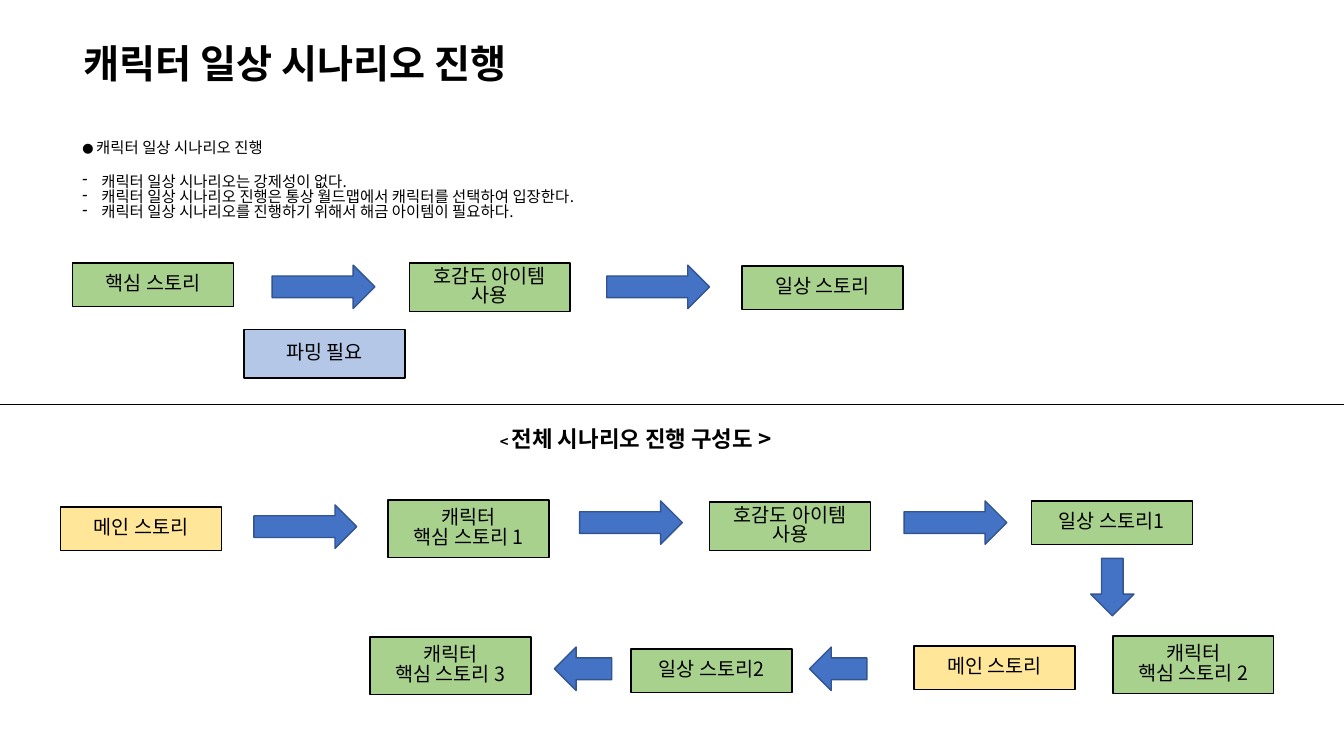
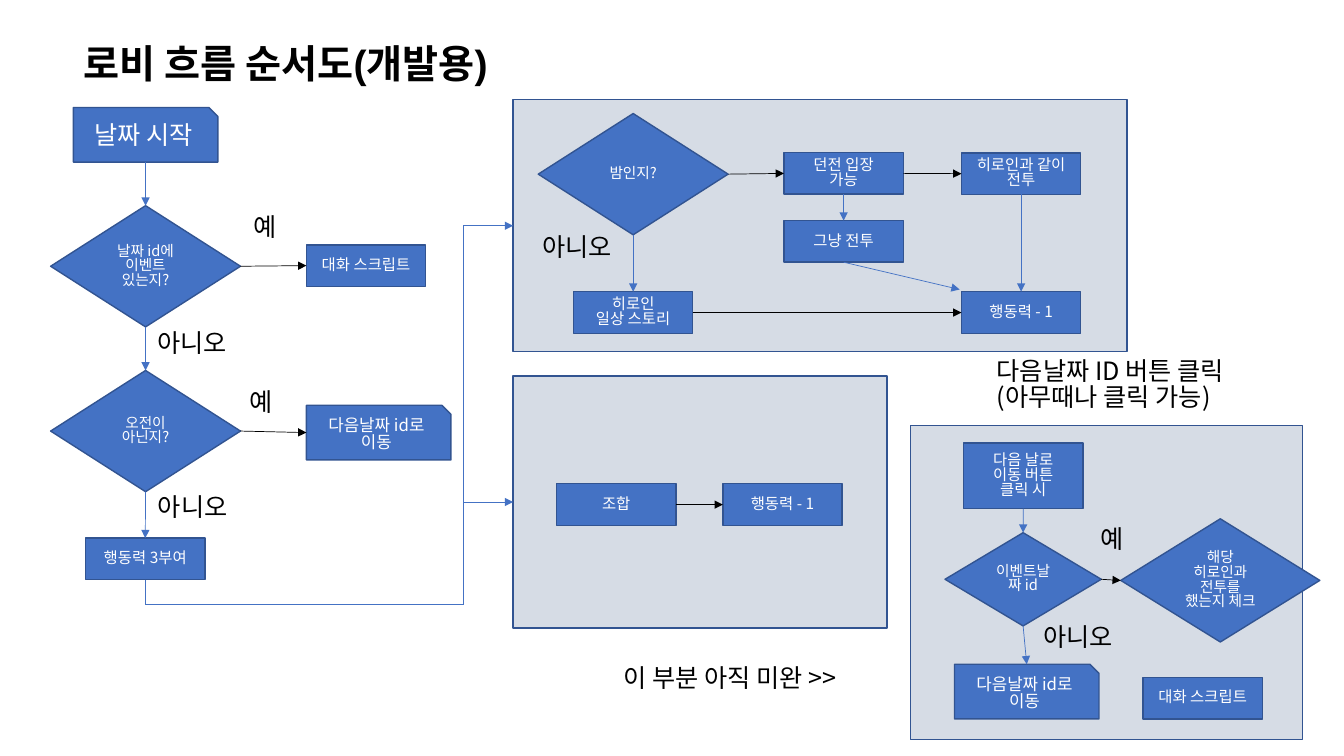
from lxml import etree
from pptx import Presentation
from pptx.dml.color import RGBColor
from pptx.enum.shapes import MSO_CONNECTOR as CONN, MSO_SHAPE as SHAPE
from pptx.enum.text import MSO_ANCHOR as ANCHOR, MSO_AUTO_SIZE as AUTO, PP_ALIGN as ALIGN
from pptx.oxml.ns import qn
from pptx.util import Pt

# Shared style
FONT, TITLE_FONT = "Noto Sans CJK KR", "Arial"
BLACK, WHITE, BLUE, NAVY = "000000", "FFFFFF", "4472C4", "325491"
GREEN, YELLOW, PALE, PANEL = "A9D18E", "FFE699", "B4C7E7", "D6DCE5"
LINE_SPACING = 0.83

# Slide 1: story order
STORY_TITLE = "캐릭터 일상 시나리오 진행"
RULES_HEAD = [("● ", 8), ("캐릭터 일상 시나리오 진행", 11)]
RULES = ["캐릭터 일상 시나리오는 강제성이 없다.",
         "캐릭터 일상 시나리오 진행은 통상 월드맵에서 캐릭터를 선택하여 입장한다.",
         "캐릭터 일상 시나리오를 진행하기 위해서 해금 아이템이 필요하다."]
DIAGRAM_HEAD = [("< ", 10.5), ("전체 시나리오 진행 구성도 >", 16)]
LOW, MID, TALL = 31, 34.6, 41
STORY_BOXES = [  # text, left, top, height, fill
    ("핵심 스토리", 51.8, 187.9, LOW, GREEN),
    ("호감도 아이템 사용", 292.3, 187.9, MID, GREEN),
    ("일상 스토리", 530, 190.1, LOW, GREEN),
    ("파밍 필요", 174.2, 235.4, MID, PALE),
    ("메인 스토리", 43.2, 362.2, LOW, YELLOW),
    ("캐릭터\n핵심 스토리 1", 277.2, 357.1, TALL, GREEN),
    ("호감도 아이템 사용", 506.9, 358.6, MID, GREEN),
    ("일상 스토리1", 736.6, 357.8, LOW, GREEN),
    ("메인 스토리", 653, 461.5, LOW, YELLOW),
    ("캐릭터\n핵심 스토리 2", 794.9, 454.3, TALL, GREEN),
    ("일상 스토리2", 450.7, 463.7, LOW, GREEN),
    ("캐릭터\n핵심 스토리 3", 264.2, 455, TALL, GREEN),
]
LONG, SHORT = 73.4, 41
BLOCK_ARROWS = [  # left, top, length, rotation
    (194.4, 189.4, LONG, 0), (433.4, 189.4, LONG, 0),
    (181.4, 360.7, LONG, 0), (414, 357.8, LONG, 0), (645.8, 357.8, LONG, 0),
    (774, 403.9, SHORT, 90), (578.2, 462.2, SHORT, 180), (396, 462.2, SHORT, 180),
]

# Slide 2: lobby flow chart
LOBBY_TITLE = "로비 흐름 순서도(개발용)"
PANELS = {"next": (650.2, 303.8, 280, 224.6), "night": (366.5, 71.3, 438.5, 180),
          "craft": (366.5, 268.6, 267, 180)}
KINDS = {  # shape, width, height, text size
    "step": (SHAPE.RECTANGLE, 85.2, 29.7, 11),
    "jump": (SHAPE.SNIP_1_RECTANGLE, 103.2, 39, 12),
    "test": (SHAPE.FLOWCHART_DECISION, 135.6, 86.6, 10.5),
}
NODES = {  # kind, text, left, top, changed values
    "start": ("jump", "날짜 시작", 52.4, 76.8, {"size": 18}),
    "event": ("test", "날짜 id에 이벤트 있는지?", 36.2, 146.9, {}),
    "talk": ("step", "대화 스크립트", 218.9, 174.9, {}),
    "morning": ("test", "오전이 아닌지?", 36.2, 264.6, {}),
    "next_day": ("jump", "다음날짜 id로 이동", 218.9, 289.5, {}),
    "grant": ("step", "행동력 3부여", 61.2, 384.4, {}),
    "night": ("test", "밤인지?", 384.5, 81.1, {}),
    "dungeon": ("step", "던전 입장\v가능", 560, 109, {}),
    "together": ("step", "히로인과 같이 전투", 686.8, 109.2, {}),
    "alone": ("step", "그냥 전투", 560, 157.6, {}),
    "daily": ("step", "히로인\v일상 스토리", 409.7, 208.4, {}),
    "spend": ("step", "행동력 - 1", 686.8, 208.4, {}),
    "craft": ("step", "조합", 397.6, 345.6, {}),
    "craft_spend": ("step", "행동력 - 1", 516.4, 345.6, {}),
    "click": ("step", "다음 날로\v이동 버튼\v클릭 시", 688.3, 316.4, {"h": 47}),
    "event_id": ("test", "이벤트날짜 id", 675, 380.5, {"w": 111.6, "h": 66.6}),
    "fought": ("test", "해당 히로인과 전투를 했는지 체크", 800.6, 370.6,
               {"w": 142.2, "h": 88}),
    "leave": ("jump", "다음날짜 id로 이동", 681.8, 474.5, {}),
    "talk_end": ("step", "대화 스크립트", 816.5, 483.8, {}),
}
TOP, LEFT, BOTTOM, RIGHT = range(4)
LINKS = [  # from, side, to, side, colour
    ("start", BOTTOM, "event", TOP, BLUE), ("event", RIGHT, "talk", LEFT, BLACK),
    ("event", BOTTOM, "morning", TOP, BLUE), ("morning", RIGHT, "next_day", LEFT, BLACK),
    ("morning", BOTTOM, "grant", TOP, BLUE), ("night", RIGHT, "dungeon", LEFT, BLACK),
    ("night", BOTTOM, "daily", TOP, BLUE), ("dungeon", RIGHT, "together", LEFT, BLACK),
    ("dungeon", BOTTOM, "alone", TOP, BLUE), ("together", BOTTOM, "spend", TOP, BLUE),
    ("daily", RIGHT, "spend", LEFT, BLACK), ("craft", RIGHT, "craft_spend", LEFT, BLACK),
    ("click", BOTTOM, "event_id", TOP, BLUE), ("event_id", RIGHT, "fought", LEFT, BLACK),
    ("event_id", BOTTOM, "leave", TOP, BLUE),
]
SLANT_END = (685.5, 206.8)
BEND_X, BEND_DROP = 331.4, 18
YES, NO = ("예", 32.4, 28.8), ("아니오", 69.1, 28.8)
LABELS = [  # (text, width, height), left, top
    (YES, 174.2, 151.2), (YES, 171.4, 275.8), (YES, 779, 373.7),
    (NO, 105.1, 234), (NO, 105.8, 351.4), (NO, 380.2, 165.6), (NO, 738, 444.2),
    (("이 부분 아직 미완 >>", 193, 28.8), 438.5, 473),
    (("다음날짜 ID 버튼 클릭\v(아무때나 클릭 가능)", 197.3, 51.1), 704.9, 254.2),
]


def rgb(hex_colour):
    return RGBColor.from_string(hex_colour)


def style_run(r, size, colour, bold=False, font=FONT):
    for name, value in {"size": Pt(size), "bold": bold, "name": font}.items():
        setattr(r.font, name, value)
    r.font.color.rgb = rgb(colour)
    etree.SubElement(r._r.get_or_add_rPr(), qn("a:ea"), typeface=FONT)


def style_text(tf, size, colour, align=ALIGN.LEFT, **run_style):
    for p in tf.paragraphs:
        p.alignment, p.line_spacing = align, LINE_SPACING
        for r in p.runs:
            style_run(r, size, colour, **run_style)
        for br in p._p.findall(qn("a:br")):
            etree.SubElement(br, qn("a:rPr"), sz=str(int(size * 100)))


def add_title_slide(prs, title, width):
    s = prs.slides.add_slide(prs.slide_layouts[5])
    sp = s.shapes.title
    sp.left, sp.top, sp.width, sp.height = Pt(52.6), Pt(30.2), Pt(width), Pt(41)
    tf = sp.text_frame
    tf.text = title
    tf.vertical_anchor, tf.word_wrap, tf.auto_size = ANCHOR.TOP, True, AUTO.NONE
    style_text(tf, 28, BLACK, bold=True, font=TITLE_FONT)
    return s


def add_box(s, kind, at, fill, line=NAVY, text="", size=14, colour=BLACK):
    sp = s.shapes.add_shape(kind, *map(Pt, at))
    sp.shadow.inherit = False
    sp.fill.solid()
    sp.fill.fore_color.rgb = rgb(fill)
    sp.line.color.rgb, sp.line.width = rgb(line), Pt(1)
    if text:
        tf = sp.text_frame
        tf.text, tf.word_wrap, tf.vertical_anchor = text, True, ANCHOR.MIDDLE
        style_text(tf, size, colour, ALIGN.CENTER)
    return sp


def add_text_box(s, at, wrap=True):
    tf = s.shapes.add_textbox(*map(Pt, at)).text_frame
    tf.word_wrap, tf.auto_size = wrap, AUTO.SHAPE_TO_FIT_TEXT
    return tf


def add_runs(p, parts, bold=False):
    p.line_spacing = LINE_SPACING
    for text, size in parts:
        r = p.add_run()
        r.text = text
        style_run(r, size, BLACK, bold)


def add_line(s, start, end, colour, kind=CONN.STRAIGHT, arrow=True):
    c = s.shapes.add_connector(kind, *(int(v) for v in (*start, *end)))
    c.line.color.rgb, c.line.width = rgb(colour), Pt(0.5)
    if arrow:
        etree.SubElement(c.line._get_or_add_ln(), qn("a:tailEnd"), type="triangle")
    etree.SubElement(c._element.spPr, qn("a:effectLst"))
    return c


def side_point(sp, side):
    x, y = sp.left + sp.width // 2, sp.top + sp.height // 2
    return {TOP: (x, sp.top), LEFT: (sp.left, y), BOTTOM: (x, sp.top + sp.height),
            RIGHT: (sp.left + sp.width, y)}[side]


def add_bent_arrow(s, start, end):
    """Goes down, right, up and right: a quarter turn of a four-part connector."""
    (x0, y0), (x1, y1) = start, end
    run, rise = x1 - x0, y0 - y1
    mid_x, mid_y = (x0 + x1) / 2, (y0 + y1) / 2
    c = add_line(s, (mid_x + rise / 2, mid_y + run / 2),
                 (mid_x - rise / 2, mid_y - run / 2), BLUE, CONN.ELBOW)
    c._element.spPr.find(qn("a:xfrm")).set("rot", "5400000")
    geom = c._element.spPr.find(qn("a:prstGeom"))
    geom.set("prst", "bentConnector4")
    guides = geom.find(qn("a:avLst"))
    shares = {"adj1": -Pt(BEND_DROP) / rise, "adj2": (Pt(BEND_X) - x0) / run}
    for name, share in shares.items():
        etree.SubElement(guides, qn("a:gd"), name=name, fmla=f"val {round(share * 100000)}")


def build_story(prs):
    s = add_title_slide(prs, STORY_TITLE, 365)
    # Rules
    tf = add_text_box(s, (51.8, 97.2, 491, 74.2))
    add_runs(tf.paragraphs[0], RULES_HEAD)
    for i, rule in enumerate(RULES):
        p = tf.add_paragraph()
        pPr = p._p.get_or_add_pPr()
        pPr.set("marL", str(Pt(13.5)))
        pPr.set("indent", str(-Pt(13.5)))
        etree.SubElement(pPr, qn("a:buChar"), char="-")
        if i == 0:
            p.space_before = Pt(13.2)
        add_runs(p, [(rule, 11)])
    # Divider and diagram heading
    add_line(s, (0, Pt(288.7)), (prs.slide_width, Pt(288.7)), BLACK, arrow=False)
    add_runs(add_text_box(s, (350, 303.1, 238.3, 26.6)).paragraphs[0], DIAGRAM_HEAD, True)
    # Boxes and block arrows
    for text, x, y, h, fill in STORY_BOXES:
        add_box(s, SHAPE.RECTANGLE, (x, y, 115, h), fill, BLACK, text)
    for x, y, length, turn in BLOCK_ARROWS:
        add_box(s, SHAPE.RIGHT_ARROW, (x, y, length, LOW), BLUE).rotation = turn


def build_lobby(prs):
    s = add_title_slide(prs, LOBBY_TITLE, 345)
    panels = {key: add_box(s, SHAPE.RECTANGLE, at, PANEL) for key, at in PANELS.items()}
    # Steps and decisions
    nodes = {}
    for key, (kind, text, x, y, changed) in NODES.items():
        shape, w, h, size = KINDS[kind]
        at = (x, y, changed.get("w", w), changed.get("h", h))
        nodes[key] = add_box(s, shape, at, BLUE, NAVY, text, changed.get("size", size), WHITE)
    # Arrows; cut-corner boxes number their sides differently, so they stay unjoined
    for a, a_side, b, b_side, colour in LINKS:
        c = add_line(s, side_point(nodes[a], a_side), side_point(nodes[b], b_side), colour)
        if NODES[a][0] != "jump":
            c.begin_connect(nodes[a], a_side)
        if NODES[b][0] != "jump":
            c.end_connect(nodes[b], b_side)
    slant = add_line(s, side_point(nodes["alone"], BOTTOM), map(Pt, SLANT_END), BLUE)
    slant.begin_connect(nodes["alone"], BOTTOM)
    for key in ("night", "craft"):
        add_bent_arrow(s, side_point(nodes["grant"], BOTTOM), side_point(panels[key], LEFT))
    # Answers and remarks
    for (text, w, h), x, y in LABELS:
        tf = add_text_box(s, (x, y, w, h), wrap=False)
        tf.text = text
        style_text(tf, 18, BLACK)


def main():
    prs = Presentation()
    prs.slide_width, prs.slide_height = Pt(960), Pt(540)
    build_story(prs)
    build_lobby(prs)
    prs.save("out.pptx")


if __name__ == "__main__":
    main()
